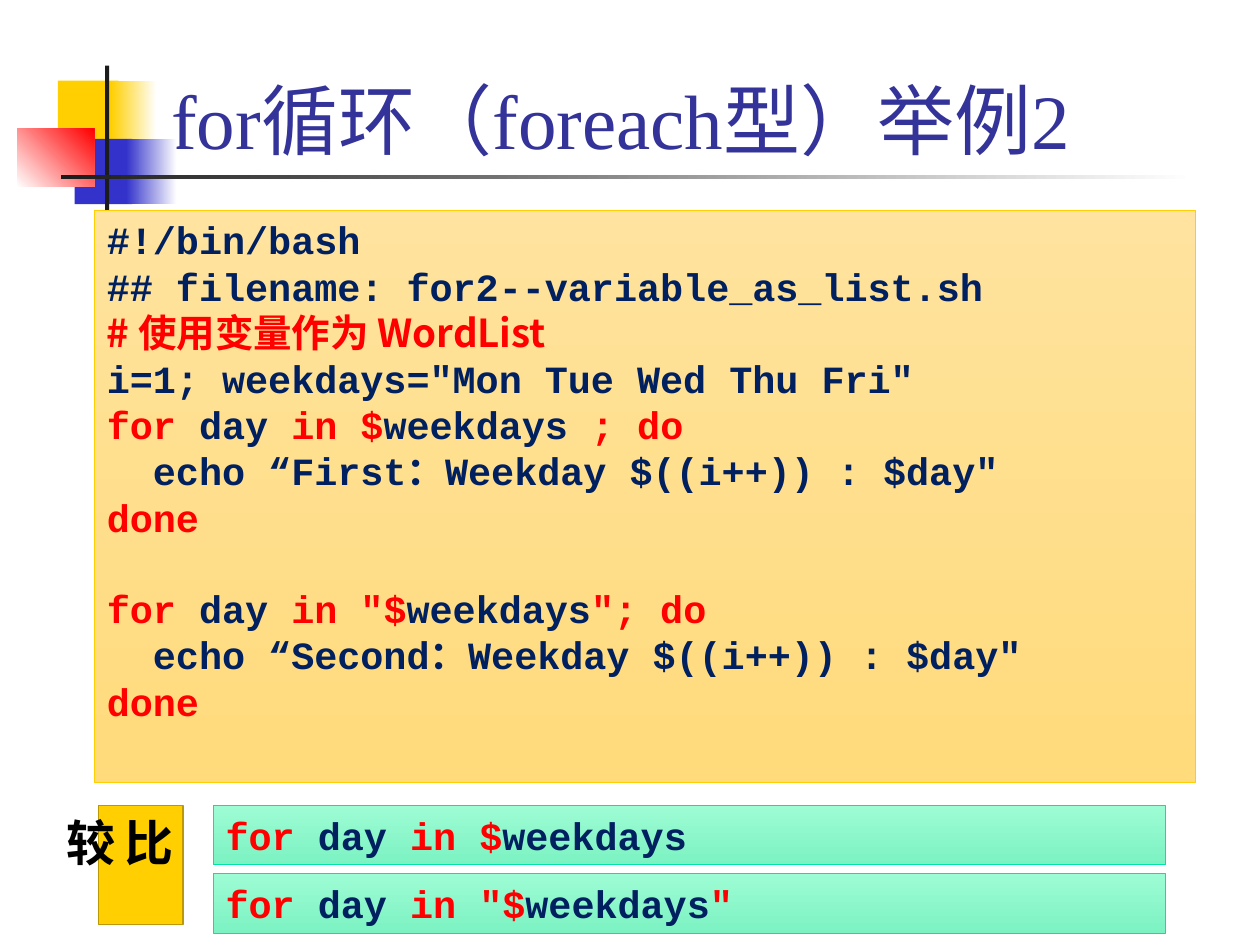
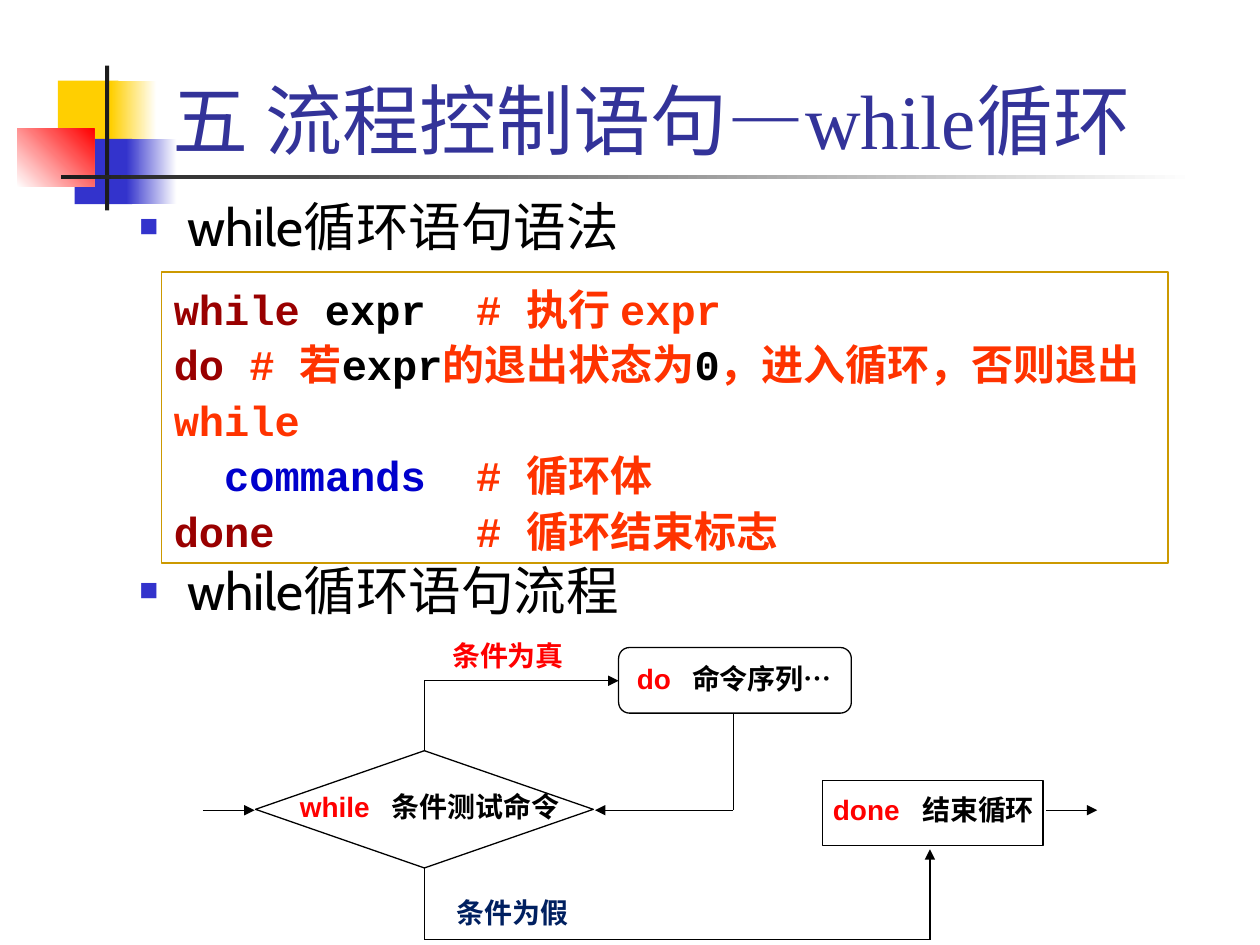
from dataclasses import dataclass

from lxml.etree import SubElement
from pptx import Presentation
from pptx.dml.color import RGBColor
from pptx.enum.shapes import MSO_CONNECTOR, MSO_SHAPE
from pptx.enum.text import MSO_ANCHOR, MSO_AUTO_SIZE, PP_ALIGN
from pptx.oxml.ns import qn
from pptx.util import Pt


@dataclass(frozen=True)
class Theme:
    """Colours, fonts and type sizes shared by the slides."""
    yellow: str = "FFCF01"
    blue: str = "3333CC"
    red: str = "FF0000"
    white: str = "FFFFFF"
    black: str = "000000"
    rule: str = "1C1C1C"
    heading: str = "333399"
    navy: str = "002060"
    maroon: str = "990000"
    orange: str = "FF3300"
    command: str = "0000CC"
    syntax_border: str = "CC9900"
    badge_border: str = "BD9901"
    green_border: str = "00E4A8"
    sand: tuple = ("FFE39E", "FFDB7C")
    green: tuple = ("9DFCD3", "7CF2C3")
    title_font: str = "Times New Roman"
    body_font: str = "Cabin"
    code_font: str = "Courier New"
    label_font: str = "Arial"
    asian_font: str = "Noto Sans CJK SC"
    title_size: int = 44
    body_size: int = 30
    badge_size: int = 28
    syntax_size: int = 24
    code_size: int = 22
    label_size: int = 16


THEME = Theme()


def rgb(color):
    """Turn a hex string into a colour."""
    return RGBColor.from_string(color)


def set_font(paragraph, name, size, color=None, bold=False):
    """Format a whole paragraph, including its East Asian typeface."""
    font = paragraph.font
    font.name, font.size, font.bold = name, Pt(size), bold
    if color:
        font.color.rgb = rgb(color)
    properties = paragraph._p.get_or_add_pPr().find(qn("a:defRPr"))
    latin = properties.find(qn("a:latin"))
    asian = latin.makeelement(qn("a:ea"), {"typeface": THEME.asian_font})
    latin.addnext(asian)


def add_tab(paragraph, position):
    """Give a paragraph one left tab stop."""
    tabs = SubElement(paragraph._p.get_or_add_pPr(), qn("a:tabLst"))
    SubElement(tabs, qn("a:tab"), pos=str(Pt(position)), algn="l")


def add_bullet(paragraph, indent=27.4):
    """Give a paragraph a small square bullet and a hanging indent."""
    properties = paragraph._p.get_or_add_pPr()
    properties.set("marL", str(Pt(indent)))
    properties.set("indent", str(-Pt(indent)))
    color = SubElement(properties, qn("a:buClr"))
    SubElement(color, qn("a:srgbClr"), val=THEME.blue)
    SubElement(properties, qn("a:buSzPct"), val="60000")
    SubElement(properties, qn("a:buChar"), char="■")


def write_lines(frame, lines, font, size, tab=None, spacing=None):
    """Write bold lines, each a list of (text, colour) runs."""
    frame.word_wrap = True
    frame.vertical_anchor = MSO_ANCHOR.TOP
    for index, runs in enumerate(lines):
        paragraph = frame.add_paragraph() if index else frame.paragraphs[0]
        paragraph.alignment = PP_ALIGN.LEFT
        if spacing:
            paragraph.line_spacing = spacing
        if tab:
            add_tab(paragraph, tab)
        set_font(paragraph, font, size, bold=True)
        for text, color in runs:
            run = paragraph.add_run()
            run.text = text
            run.font.color.rgb = rgb(color)


def add_box(slide, box, fill=None, border=None, width=0.75, angle=90,
            kind=MSO_SHAPE.RECTANGLE):
    """Add a shape; a pair of colours as fill makes a gradient."""
    shape = slide.shapes.add_shape(kind, *map(Pt, box))
    shape.shadow.inherit = False
    if isinstance(fill, tuple):
        shape.fill.gradient()
        shape.fill.gradient_angle = (360 - angle) % 360
        for stop, color in zip(shape.fill.gradient_stops, fill):
            stop.color.rgb = rgb(color)
    elif fill:
        shape.fill.solid()
        shape.fill.fore_color.rgb = rgb(fill)
    else:
        shape.fill.background()
    if border:
        shape.line.color.rgb = rgb(border)
        shape.line.width = Pt(width)
    else:
        shape.line.fill.background()
    return shape


def add_line(slide, start, end, arrow=False):
    """Add a thin black line, optionally with an arrowhead at its end."""
    line = slide.shapes.add_connector(
        MSO_CONNECTOR.STRAIGHT, *map(Pt, (*start, *end)))
    line.line.color.rgb = rgb(THEME.black)
    line.line.width = Pt(0.75)
    if arrow:
        SubElement(line.line._get_or_add_ln(), qn("a:tailEnd"), type="triangle")
    SubElement(line.element.spPr, qn("a:effectLst"))


def add_ornament(slide, left, top):
    """Draw the coloured squares and rules beside the title."""
    parts = (
        (23.3, 8.6, 34.6, 37.4, THEME.yellow, 0),
        (53.6, 8.6, 26, 37.4, (THEME.yellow, THEME.white), 0),
        (32.8, 41.8, 33, 37.4, THEME.blue, 0),
        (62.3, 41.8, 28.8, 37.4, (THEME.blue, THEME.white), 0),
        (0, 36, 44, 33.4, (THEME.white, THEME.red), 315),
        (50.2, 0, 2.4, 82.8, THEME.rule, 0),
        (25, 62.6, 648, 2.4, (THEME.rule, THEME.white), 0),
    )
    for x, y, width, height, fill, angle in parts:
        add_box(slide, (left + x, top + y, width, height), fill, angle=angle)


def place(placeholder, box):
    """Move a placeholder to a box and stop it from shrinking text."""
    placeholder.left, placeholder.top, placeholder.width, placeholder.height = map(Pt, box)
    placeholder.text_frame.auto_size = MSO_AUTO_SIZE.NONE
    placeholder.text_frame.word_wrap = True


def add_titled_slide(presentation, layout, text):
    """Start a slide with the shared ornament and title style."""
    slide = presentation.slides.add_slide(presentation.slide_layouts[layout])
    add_ornament(slide, 9.8, 37.5)
    title = slide.shapes.title
    place(title, (90.7, 15.1, 613.4, 82.8))
    title.text_frame.text = text
    title.text_frame.vertical_anchor = MSO_ANCHOR.BOTTOM
    paragraph = title.text_frame.paragraphs[0]
    paragraph.alignment = PP_ALIGN.LEFT
    set_font(paragraph, THEME.title_font, THEME.title_size, THEME.heading)
    return slide


def loop_runs(before, after, end=""):
    """Return the coloured runs of a for line over weekdays."""
    runs = [("for", THEME.red), (" day ", THEME.navy),
            (f"in {before}", THEME.red), (f"weekdays{after}", THEME.navy)]
    return runs + [(end, THEME.red)] if end else runs


def add_script(slide, box):
    """Show the whole script on a sand panel."""
    frame = add_box(slide, box, THEME.sand, THEME.yellow, 0.5).text_frame
    done = [("done", THEME.red)]
    lines = [
        [("#!/bin/bash", THEME.navy)],
        [("## filename: for2--variable_as_list.sh", THEME.navy)],
        [("# 使用变量作为 WordList", THEME.red)],
        [('i=1; weekdays="Mon Tue Wed Thu Fri"', THEME.navy)],
        loop_runs("$", " ", "; do"),
        [('  echo “First：Weekday $((i++)) : $day"', THEME.navy)],
        done,
        loop_runs('"$', "", '"; do'),
        [('  echo “Second：Weekday $((i++)) : $day"', THEME.navy)],
        done,
    ]
    write_lines(frame, lines, THEME.code_font, THEME.code_size)
    frame.paragraphs[2].font.name = THEME.asian_font
    frame.paragraphs[7].space_before = Pt(26)


def add_comparison(slide, left, top):
    """Stack the two loop headers beside a badge."""
    headers = (loop_runs("$", ""), loop_runs('"$', "", '"'))
    for index, runs in enumerate(headers):
        box = (left + 65.7, top + 39 * index, 544.3, 34)
        bar = add_box(slide, box, THEME.green, THEME.green_border, 0.5)
        write_lines(bar.text_frame, [runs], THEME.code_font, THEME.code_size)
    badge = add_box(slide, (left, top, 48.5, 68), THEME.yellow, THEME.badge_border, 1)
    frame = badge.text_frame
    write_lines(frame, [[("比较", THEME.black)]], THEME.body_font, THEME.badge_size)
    frame.margin_top = frame.margin_bottom = Pt(7.2)
    badge.element.find(".//" + qn("a:bodyPr")).set("vert", "eaVert")


def add_topics(slide, box):
    """Fill the body placeholder with the two topics."""
    body = slide.placeholders[1]
    place(body, box)
    frame = body.text_frame
    frame.text = "while循环语句语法\nwhile循环语句流程"
    for paragraph, before in zip(frame.paragraphs, (0, 172)):
        paragraph.space_before = Pt(before)
        add_bullet(paragraph)
        set_font(paragraph, THEME.body_font, THEME.body_size, THEME.black)


def add_syntax(slide, box):
    """Show the commented while syntax in a frame."""
    frame = add_box(slide, box, border=THEME.syntax_border).text_frame
    lines = [
        [("while ", THEME.maroon), ("expr", THEME.black), ("\t# 执行 expr", THEME.orange)],
        [("do ", THEME.maroon), ("# 若", THEME.orange), ("expr", THEME.black),
         ("的退出状态为", THEME.orange), ("0", THEME.black),
         ("，进入循环，否则退出while", THEME.orange)],
        [("  commands", THEME.command), ("\t# 循环体", THEME.orange)],
        [("done", THEME.maroon), ("\t# 循环结束标志", THEME.orange)],
    ]
    write_lines(frame, lines, THEME.code_font, THEME.syntax_size, tab=172.8, spacing=1.1)


def add_label(slide, box, inset, runs, tab=None):
    """Add a flowchart label."""
    frame = slide.shapes.add_textbox(*map(Pt, box)).text_frame
    frame.margin_left, frame.margin_right = Pt(inset), 0
    write_lines(frame, [runs], THEME.label_font, THEME.label_size, tab)


def add_flowchart(slide, left, top):
    """Draw the flow of the while loop."""
    nodes = (
        (MSO_SHAPE.FLOWCHART_ALTERNATE_PROCESS, 237.5, 9, 133, 37.5),
        (MSO_SHAPE.FLOWCHART_DECISION, 30, 68, 193, 67),
        (MSO_SHAPE.FLOWCHART_PROCESS, 354, 85, 126, 37),
    )
    for kind, x, y, width, height in nodes:
        add_box(slide, (left + x, top + y, width, height),
                THEME.white, THEME.black, kind=kind)
    test_x, body_x, done_x = 126.5, 303, 415.4
    true_y, middle_y, false_y = 28, 102, 176
    lines = (
        (test_x, 68, test_x, true_y, False),
        (test_x, true_y, 237.5, true_y, True),
        (body_x, 46.5, body_x, middle_y, False),
        (body_x, middle_y, 224, middle_y, True),
        (test_x, 135, test_x, false_y, False),
        (test_x, false_y, done_x, false_y, False),
        (done_x, false_y, done_x, 124.3, True),
        (0, middle_y, 29.5, middle_y, True),
        (481.6, middle_y, 511, middle_y, True),
    )
    for x1, y1, x2, y2, arrow in lines:
        add_line(slide, (left + x1, top + y1), (left + x2, top + y2), arrow)
    labels = (
        (36.6, 86.8, 186, 18.8, 52.6, "while", "\t条件测试命令"),
        (237.5, 13.4, 132.5, 10.5, 31.5, "do", "\t命令序列…"),
        (352, 88.3, 131, 8, 51, "done", "\t结束循环"),
    )
    for x, y, width, inset, tab, keyword, text in labels:
        add_label(slide, (left + x, top + y, width, 26.6), inset,
                  [(keyword, THEME.red), (text, THEME.black)], tab)
    add_label(slide, (left + 126.6, top + 0.4, 96.5, 26.6), 15.8, [("条件为真", THEME.red)])
    add_label(slide, (left + 136, top + 147.3, 81.4, 26.6), 9, [("条件为假", THEME.navy)])


def main():
    """Build both slides and save the file."""
    presentation = Presentation()
    presentation.slide_width, presentation.slide_height = Pt(720), Pt(540)
    example = add_titled_slide(presentation, 5, "for循环（foreach型）举例2")
    add_script(example, (54, 120.2, 629.3, 326.9))
    add_comparison(example, 56.2, 460.3)
    syntax = add_titled_slide(presentation, 1, "五 流程控制语句—while循环")
    add_topics(syntax, (72.4, 107.3, 612, 324))
    add_syntax(syntax, (92.2, 155.5, 575.3, 166.3))
    add_flowchart(syntax, 116, 361)
    presentation.save("out.pptx")


if __name__ == "__main__":
    main()
